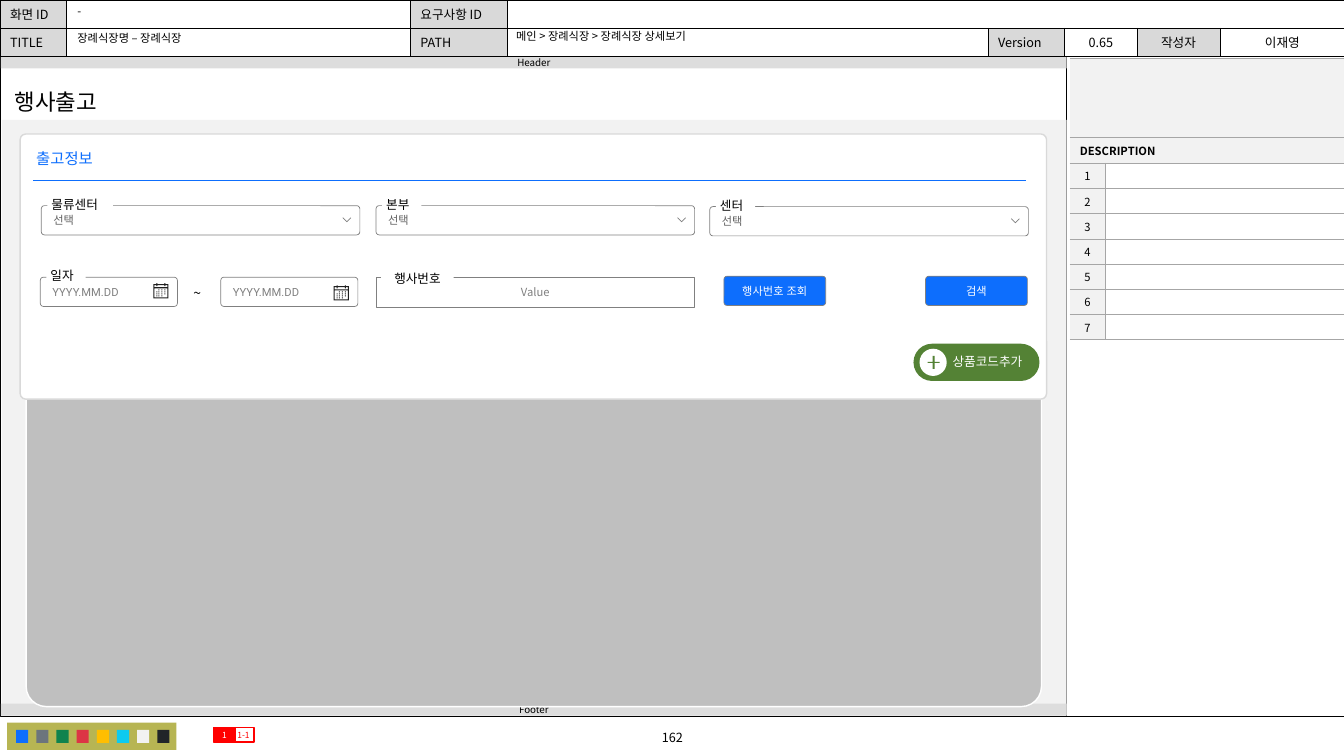
from dataclasses import dataclass

from lxml import etree
from pptx import Presentation
from pptx.dml.color import RGBColor
from pptx.enum.shapes import MSO_CONNECTOR, MSO_SHAPE
from pptx.enum.text import MSO_ANCHOR, PP_ALIGN
from pptx.oxml.ns import qn
from pptx.util import Inches, Pt

RECT, ROUND, OVAL = MSO_SHAPE.RECTANGLE, MSO_SHAPE.ROUNDED_RECTANGLE, MSO_SHAPE.OVAL
LEFT, CENTER = PP_ALIGN.LEFT, PP_ALIGN.CENTER
TOP, MIDDLE = MSO_ANCHOR.TOP, MSO_ANCHOR.MIDDLE


@dataclass(frozen=True)
class Theme:
    """Colours, fonts and type sizes."""
    font: str = "Noto Sans CJK KR"
    field_font: str = "Roboto"
    black: str = "000000"
    white: str = "FFFFFF"
    blue: str = "0D6EFD"
    green: str = "548235"
    red: str = "FF0000"
    olive: str = "B7B553"
    ink: str = "1F1F1F"
    choice: str = "5F5F5F"
    outline: str = "808080"
    rule: str = "A6A6A6"
    grid: str = "BFBFBF"
    label: str = "D9D9D9"
    bar: str = "DDDDDD"
    page: str = "F2F2F2"
    swatches: tuple = ("0D6EFD", "6C757D", "10834E", "DC3545",
                       "FFBE00", "0DCAF0", "F2F2F2", "212529")
    title: int = 16
    section: int = 11
    tilde: int = 10
    body: int = 9
    small: int = 8
    strip: int = 7
    tag: int = 6


T = Theme()


def rgb(value):
    """Turn a hex string into a colour."""
    return RGBColor.from_string(value)


def write(tf, text, size, color=T.black, align=LEFT, font=T.font, bold=False):
    """Set and format the single paragraph of a text frame."""
    tf.text = text
    p = tf.paragraphs[0]
    p.alignment = align
    for r in p.runs:
        r.font.size, r.font.bold, r.font.name = Pt(size), bold, font
        r.font.color.rgb = rgb(color)
        etree.SubElement(r.font._element, qn("a:ea")).set("typeface", font)
    if not text:
        p._p.get_or_add_endParaRPr().set("sz", str(size * 100))


def set_frame(tf, anchor, insets):
    """Wrap a text frame and set its anchor and insets."""
    tf.word_wrap, tf.vertical_anchor = True, anchor
    tf.margin_left, tf.margin_top, tf.margin_right, tf.margin_bottom = map(Inches, insets)


def paint(sp, fill, line, width):
    """Set fill and line of a shape and drop its shadow."""
    sp.shadow.inherit = False
    if fill:
        sp.fill.solid()
        sp.fill.fore_color.rgb = rgb(fill)
    else:
        sp.fill.background()
    if line:
        sp.line.color.rgb = rgb(line)
        sp.line.width = Pt(width)
    else:
        sp.line.fill.background()


def shape(s, kind, x, y, w, h, fill=None, line=None, width=0.5, adj=None,
          text="", anchor=MIDDLE, insets=(0, 0, 0, 0), **style):
    """Add a preset shape, with text if given."""
    sp = s.shapes.add_shape(kind, Inches(x), Inches(y), Inches(w), Inches(h))
    if adj is not None:
        sp.adjustments[0] = adj
    paint(sp, fill, line, width)
    if text:
        set_frame(sp.text_frame, anchor, insets)
        write(sp.text_frame, text, **style)


def label(s, x, y, w, h, text, spacing=None, **style):
    """Add a text box."""
    tf = s.shapes.add_textbox(Inches(x), Inches(y), Inches(w), Inches(h)).text_frame
    set_frame(tf, TOP, (0.1, 0.05, 0, 0.05))
    write(tf, text, **style)
    tf.paragraphs[0].line_spacing = spacing


def line(s, x1, y1, x2, y2, color):
    """Add a thin straight line."""
    cn = s.shapes.add_connector(MSO_CONNECTOR.STRAIGHT, *map(Inches, (x1, y1, x2, y2)))
    cn.line.color.rgb = rgb(color)
    cn.line.width = Pt(0.5)
    etree.SubElement(cn._element.spPr, qn("a:effectLst"))


def outline(s, x, y, contours, fill=None, stroke=None, close=True):
    """Draw contours given in hundredths of an inch from x, y."""
    fb = s.shapes.build_freeform(*contours[0][0], scale=Inches(0.01))
    fb.add_line_segments(contours[0][1:], close=close)
    for contour in contours[1:]:
        fb.move_to(*contour[0])
        fb.add_line_segments(contour[1:], close=close)
    paint(fb.convert_to_shape(Inches(x), Inches(y)), fill, stroke, 0.5)


def add_table(s, x, y, cols, rows):
    """Add an unbanded table with the given column and row sizes."""
    frame = s.shapes.add_table(len(rows), len(cols), Inches(x), Inches(y),
                               Inches(sum(cols)), Inches(sum(rows)))
    table = frame.table
    table.first_row = table.horz_banding = False
    for items, sizes, side in ((table.columns, cols, "width"), (table.rows, rows, "height")):
        for item, size in zip(items, sizes):
            setattr(item, side, Inches(size))
    return table


def set_cell(cell, text, fill, sides, color, size, **style):
    """Fill a cell, draw the named borders and write its text."""
    props = cell._tc.get_or_add_tcPr()
    for side in "LRTB":
        ln = etree.SubElement(props, qn("a:ln" + side), w=str(Pt(0.5)))
        if side in sides:
            solid = etree.SubElement(ln, qn("a:solidFill"))
            etree.SubElement(solid, qn("a:srgbClr"), val=color)
        else:
            etree.SubElement(ln, qn("a:noFill"))
    cell.fill.solid()
    cell.fill.fore_color.rgb = rgb(fill)
    cell.vertical_anchor = MIDDLE
    write(cell.text_frame, text, size, **style)


def document_header(s, x, y):
    """Place the document table and its values."""
    rows = (("화면 ID", "", "요구사항 ID", "", "", "", "", ""),
            ("TITLE", "", "PATH", "", "Version", "0.65", "작성자", "이재영"))
    table = add_table(s, x, y, (0.66, 3.41, 0.96, 4.77, 0.76, 0.72, 0.82, 1.24), (0.28, 0.28))
    table.cell(0, 3).merge(table.cell(0, 7))
    for i, row in enumerate(rows):
        for j, text in enumerate(row):
            fill = T.label if text and j % 2 == 0 else T.white
            set_cell(table.cell(i, j), text, fill, "LRTB", T.black, T.body,
                     align=CENTER if j > 4 else LEFT)
    for dx, dy, w, text in ((5.02, 0.26, 4.74, "메인 > 장례식장 > 장례식장 상세보기"),
                            (0.67, 0.01, 3.4, "-"), (0.67, 0.28, 3.4, "장례식장명 – 장례식장")):
        label(s, x + dx, y + dy, w, 0.23, text, spacing=0.9, size=T.small)


def page_frame(s, x, y, w, h):
    """Place the frame, the page area and its header and footer strips."""
    shape(s, RECT, x, y, w, h, line=T.black, width=0.25)
    line(s, x + 10.58, y + 0.01, x + 10.58, y + h, T.black)
    shape(s, RECT, x + 0.02, y + 0.64, 10.56, 5.91, T.page)
    for dy, text in ((6.43, "Footer"), (0.01, "Header")):
        shape(s, RECT, x + 0.01, y + dy, 10.57, 0.12, T.bar,
              text=text, size=T.strip, align=CENTER)
    shape(s, ROUND, x + 0.26, y + 1.19, 10.07, 5.27, T.grid, T.white, 1, 0.038)
    label(s, x + 0.05, y + 0.28, 1.1, 0.37, "행사출고", size=T.title)


def bottom_bar(s, x, y):
    """Place the palette, the numbering tags and the page number."""
    shape(s, RECT, x + 0.07, y, 1.68, 0.27, T.olive)
    for i, color in enumerate(T.swatches):
        shape(s, RECT, x + 0.16 + 0.2 * i, y + 0.07, 0.12, 0.13, color)
    for dx, fill, color, text in ((2.31, None, T.red, "1-1"), (2.12, T.red, T.white, "1")):
        shape(s, RECT, x + dx, y + 0.05, 0.21, 0.14, fill, T.red, 1,
              text=text, size=T.tag, color=color, align=CENTER)
    label(s, x + 5.32, y + 0.02, 2.6, 0.25, "162", size=T.body, align=CENTER)


def description(s, x, y):
    """Place the numbered description table."""
    table = add_table(s, x, y, (0.35, 2.37), (0.78, 0.26) + (0.25,) * 7)
    for i, text in enumerate(("", "DESCRIPTION")):
        table.cell(i, 0).merge(table.cell(i, 1))
        set_cell(table.cell(i, 0), text, T.page, "TB", T.rule, T.small, bold=True)
    for n in range(1, 8):
        number = table.cell(n + 1, 0)
        number.margin_left = number.margin_right = number.margin_top = number.margin_bottom = 0
        set_cell(number, str(n), T.page, "RTB", T.rule, T.small, align=CENTER)
        set_cell(table.cell(n + 1, 1), "", T.white, "LTB", T.rule, T.tag)


def field(s, x, y, w, text, color):
    """Place a rounded input field."""
    shape(s, ROUND, x, y, w, 0.29, T.white, T.outline, adj=0.108, text=text,
          insets=(0.11, 0.07, 0.11, 0.07), size=T.small, color=color, font=T.field_font)


def field_label(s, x, y, w, text):
    """Place a label that interrupts the top edge of a field."""
    shape(s, RECT, x + 0.06, y - 0.09, w, 0.15, T.white, text=text, anchor=TOP,
          insets=(0.04, 0, 0, 0), size=T.body)


def select(s, x, y, text, label_width):
    """Place a drop-down field."""
    field(s, x, y, 3.16, "선택", T.choice)
    outline(s, x + 2.99, y + 0.12, [[(0, 0), (4, 4), (8, 0)]], stroke=T.outline, close=False)
    field_label(s, x, y, label_width, text)


def rectangle(left, top, right, bottom):
    """Return the corners of a rectangle."""
    return [(left, top), (right, top), (right, bottom), (left, bottom)]


def calendar(s, x, y):
    """Draw a calendar icon."""
    frame = [(12, 1), (15, 1), (15, 15), (0, 15), (0, 1), (3, 1),
             (3, 0), (4, 0), (4, 1), (11, 1), (11, 0), (12, 0)]
    heading = [(3, 2), (1, 2), (1, 4), (14, 4), (14, 2), (12, 2),
               (12, 3), (11, 3), (11, 2), (4, 2), (4, 3), (3, 3)]
    days = [rectangle(dx, dy, dx + 1, dy + 1) for dy in (6, 8, 10, 12)
            for dx in (3, 5, 8, 11) if (dx, dy) not in ((3, 6), (11, 12))]
    outline(s, x, y, [frame, heading, rectangle(1, 5, 14, 14)] + days, T.ink)


def button(s, x, y, text):
    """Place a blue button."""
    shape(s, ROUND, x, y, 1.01, 0.29, T.blue, T.outline, adj=0.108, text=text,
          size=T.small, color=T.white, align=CENTER, font=T.field_font)


def add_button(s, x, y):
    """Place the green button with a plus sign."""
    plus = [(5, 0), (5, 6), (0, 6), (0, 7), (5, 7), (5, 13),
            (7, 13), (7, 7), (12, 7), (12, 6), (7, 6), (7, 0)]
    shape(s, ROUND, x, y, 1.25, 0.37, T.green, adj=0.5)
    shape(s, OVAL, x + 0.06, y + 0.05, 0.27, 0.27, T.white)
    outline(s, x + 0.14, y + 0.12, [plus], T.green)
    label(s, x + 0.29, y + 0.05, 0.96, 0.25, "상품코드추가", size=T.body, color=T.white)


def search_card(s, x, y, w, h):
    """Place the search card with its fields and buttons."""
    shape(s, ROUND, x, y, w, h, T.white, T.label, 1, 0.021)
    label(s, x + 0.06, y + 0.1, 0.82, 0.29, "출고정보", size=T.section, color=T.blue)
    line(s, x + 0.13, y + 0.46, x + w - 0.2, y + 0.46, T.blue)
    for dx in (6.98, 8.98):
        button(s, x + dx, y + 1.41, "행사번호 조회" if dx < 8 else "검색")
    add_button(s, x + 8.86, y + 2.08)
    for dx, icon_dy in ((0.2, 0.06), (1.99, 0.08)):
        field(s, x + dx, y + 1.42, 1.36, "YYYY.MM.DD", T.outline)
        calendar(s, x + dx + 1.12, y + 1.42 + icon_dy)
    label(s, x + 1.62, y + 1.44, 0.29, 0.27, "~", size=T.tilde)
    field_label(s, x + 0.2, y + 1.42, 0.39, "일자")
    for dx, dy, text, width in ((0.21, 0.71, "물류센터", 0.65), (3.53, 0.71, "본부", 0.39),
                                (6.84, 0.72, "센터", 0.39)):
        select(s, x + dx, y + dy, text, width)
    shape(s, RECT, x + 3.53, y + 1.42, 3.16, 0.3, T.white, T.outline,
          text="Value", size=T.small, color=T.outline, align=CENTER)
    shape(s, RECT, x + 3.58, y + 1.36, 0.72, 0.15, T.white, text="행사번호",
          anchor=TOP, size=T.body, align=CENTER)


def main():
    """Build the slide and save it."""
    prs = Presentation()
    prs.slide_width, prs.slide_height = Inches(13.33), Inches(7.5)
    s = prs.slides.add_slide(prs.slide_layouts[6])
    page_frame(s, 0, 0.55, 13.33, 6.56)
    document_header(s, 0, 0)
    bottom_bar(s, 0, 7.17)
    description(s, 10.61, 0.58)
    search_card(s, 0.2, 1.33, 10.18, 2.63)
    prs.save("out.pptx")


if __name__ == "__main__":
    main()
